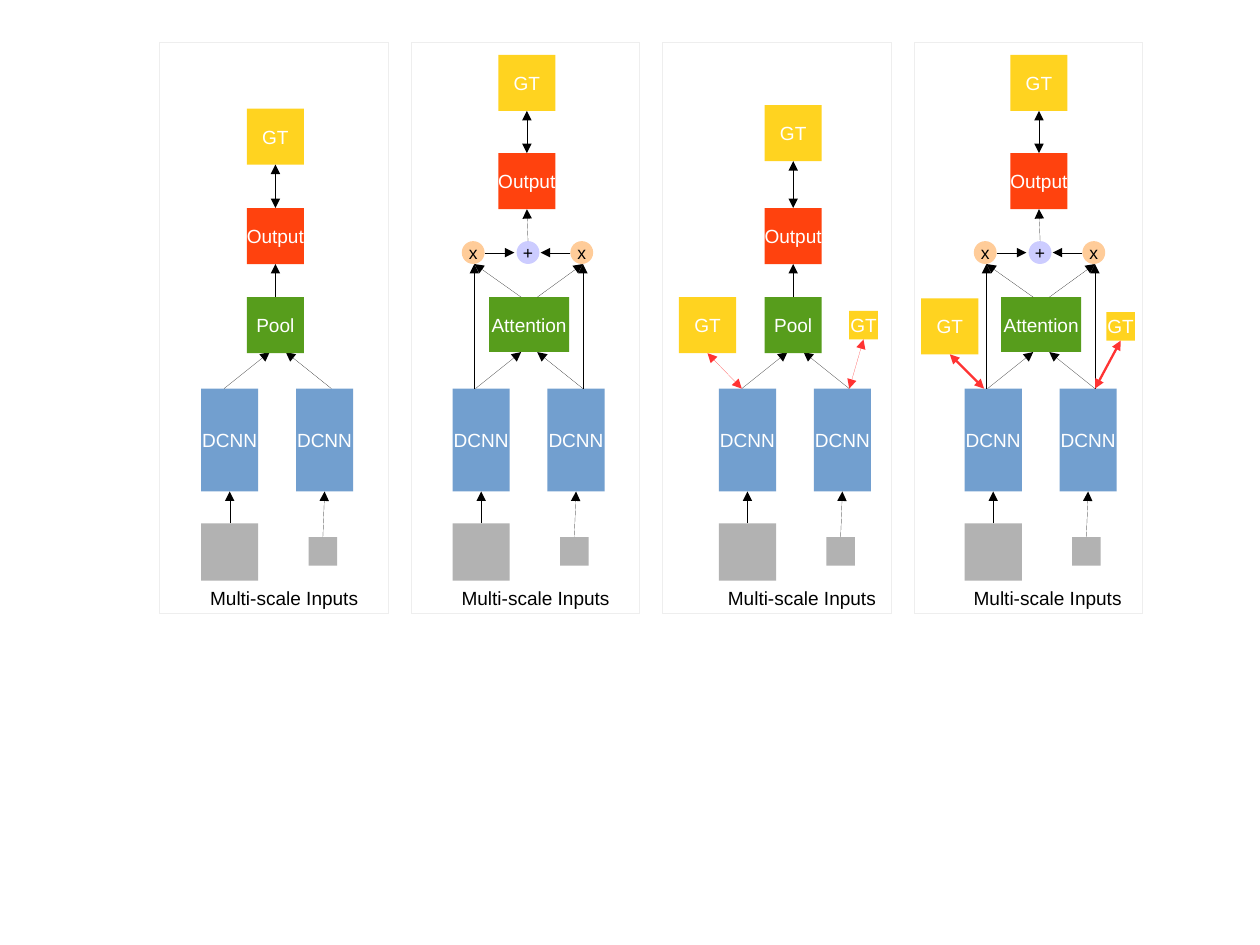
from lxml.etree import SubElement
from pptx import Presentation
from pptx.dml.color import RGBColor
from pptx.enum.shapes import MSO_CONNECTOR, MSO_SHAPE
from pptx.enum.text import MSO_ANCHOR, PP_ALIGN
from pptx.oxml.ns import qn
from pptx.util import Cm, Inches, Pt

BLACK = RGBColor(0x00, 0x00, 0x00)
WHITE = RGBColor(0xFF, 0xFF, 0xFF)
GRAY = RGBColor(0xB2, 0xB2, 0xB2)
BLUE = RGBColor(0x72, 0x9F, 0xCF)
GREEN = RGBColor(0x57, 0x9D, 0x1C)
ORANGE = RGBColor(0xFF, 0x42, 0x0E)
YELLOW = RGBColor(0xFF, 0xD3, 0x20)
PEACH = RGBColor(0xFF, 0xCC, 0x99)
LILAC = RGBColor(0xCC, 0xCC, 0xFF)
RED = RGBColor(0xFF, 0x33, 0x33)
FRAME = RGBColor(0xEE, 0xEE, 0xEE)

HAIRLINE = 0.01
FRAME_LEFT, FRAME_TOP, FRAME_STEP = 1.4, 0.37, 2.2
FRAME_WIDTH, FRAME_HEIGHT = 2, 5
DCNN_TOP = 3.4
MERGE_TOP = 2.6
LEFT_OUT, RIGHT_OUT = 0.2, 1.14


def style_text(tf, text, size, color, align):
    tf.word_wrap = False
    p = tf.paragraphs[0]
    p.text = text
    p.alignment = align
    font = p.runs[0].font
    font.name = "Arial"
    font.size = Pt(size)
    font.color.rgb = color


def block(s, x, y, w, h, fill, text="", kind=MSO_SHAPE.RECTANGLE, size=12, color=WHITE):
    sp = s.shapes.add_shape(kind, Inches(x), Inches(y), Inches(w), Inches(h))
    sp.shadow.inherit = False
    sp.fill.solid()
    sp.fill.fore_color.rgb = fill
    sp.line.fill.background()
    if text:
        sp.text_frame.vertical_anchor = MSO_ANCHOR.MIDDLE
        style_text(sp.text_frame, text, size, color, PP_ALIGN.CENTER)
    return sp


def operator(s, x, text, fill):
    return block(s, x, 2.11, 0.2, 0.2, fill, text, MSO_SHAPE.OVAL, 11, BLACK)


def arrow(s, start, end, color=BLACK, weight=HAIRLINE, both=False):
    """Each end is an (x, y) point or a shape, left at its top and entered at its bottom."""
    x1, y1 = start if isinstance(start, tuple) else (0, 0)
    x2, y2 = end if isinstance(end, tuple) else (0, 0)
    line = s.shapes.add_connector(
        MSO_CONNECTOR.STRAIGHT, Inches(x1), Inches(y1), Inches(x2), Inches(y2))
    if not isinstance(start, tuple):
        line.begin_connect(start, 0)
    if not isinstance(end, tuple):
        line.end_connect(end, 2)
    line.line.color.rgb = color
    line.line.width = Pt(weight)
    spPr = line.element.spPr
    ln = spPr.find(qn("a:ln"))
    for tag in ("a:headEnd", "a:tailEnd") if both else ("a:tailEnd",):
        SubElement(ln, qn(tag), type="triangle")
    SubElement(spPr, qn("a:effectLst"))


def frame(s, x):
    sp = s.shapes.add_shape(MSO_SHAPE.RECTANGLE, Inches(x), Inches(FRAME_TOP),
                            Inches(FRAME_WIDTH), Inches(FRAME_HEIGHT))
    sp.shadow.inherit = False
    sp.fill.background()
    sp.line.color.rgb = FRAME
    sp.line.width = Pt(HAIRLINE)


def inputs(s, x):
    """Two input scales, each feeding a DCNN, with their caption."""
    for dx, y, size, dcnn_dx in ((0, 4.58, 0.5, 0), (0.94, 4.7, 0.25, 0.83)):
        image = block(s, x + dx, y, size, size, GRAY)
        dcnn = block(s, x + dcnn_dx, DCNN_TOP, 0.5, 0.9, BLUE, "DCNN")
        arrow(s, image, dcnn)
    caption = s.shapes.add_textbox(Inches(x - 0.02), Inches(5.08), Inches(1.5), Inches(0.29))
    style_text(caption.text_frame, "Multi-scale Inputs", 12, BLACK, PP_ALIGN.LEFT)
    for out, target in ((LEFT_OUT, 0.6), (RIGHT_OUT, 0.74)):
        arrow(s, (x + out, DCNN_TOP), (x + target, 3.08))


def result(s, x, output_top, gt_top):
    """Output block compared with the ground truth above it."""
    output = block(s, x, output_top, 0.5, 0.49, ORANGE, "Output")
    gt = block(s, x, gt_top, 0.5, 0.49, YELLOW, "GT")
    arrow(s, output, gt, both=True)
    return output


def pooling(s, x, gt_top):
    inputs(s, x)
    pool = block(s, x + 0.4, MERGE_TOP, 0.5, 0.49, GREEN, "Pool")
    arrow(s, pool, result(s, x + 0.4, 1.82, gt_top))


def attention(s, x):
    inputs(s, x)
    block(s, x + 0.32, MERGE_TOP, 0.7, 0.48, GREEN, "Attention")
    for dx, out, leave in ((0.08, 0.19, 0.6), (1.03, RIGHT_OUT, 0.74)):
        operator(s, x + dx, "x", PEACH)
        arrow(s, (x + leave, MERGE_TOP), (x + out, 2.31))
        arrow(s, (x + out, DCNN_TOP), (x + out, 2.31))
    plus = operator(s, x + 0.56, "+", LILAC)
    arrow(s, (x + 0.28, 2.21), (x + 0.54, 2.21))
    arrow(s, (x + 1.03, 2.21), (x + 0.77, 2.21))
    arrow(s, plus, result(s, x + 0.4, 1.34, 0.48))


def supervision(s, x, left_out, left_gt, right_gt, weight):
    """Extra ground truth for each scale; left_gt and right_gt are positions."""
    for out, (dx, y), w, h in ((left_out, left_gt, 0.5, 0.49),
                               (RIGHT_OUT, right_gt, 0.25, 0.25)):
        gt = block(s, x + dx, y, w, h, YELLOW, "GT")
        arrow(s, (x + out, DCNN_TOP), gt, RED, weight, both=True)


def main():
    prs = Presentation()
    prs.slide_width, prs.slide_height = Cm(28), Cm(21)
    s = prs.slides.add_slide(prs.slide_layouts[6])
    frames = [FRAME_LEFT + i * FRAME_STEP for i in range(4)]
    for x in frames:
        frame(s, x)
    pool_x, attention_x, deep_pool_x, deep_attention_x = (
        x + dx for x, dx in zip(frames, (0.36, 0.36, 0.49, 0.44)))
    pooling(s, pool_x, 0.95)
    attention(s, attention_x)
    pooling(s, deep_pool_x, 0.92)
    supervision(s, deep_pool_x, LEFT_OUT, (-0.35, 2.6), (1.14, 2.72), HAIRLINE)
    attention(s, deep_attention_x)
    supervision(s, deep_attention_x, 0.17, (-0.38, 2.61), (1.24, 2.73), 1.45)
    prs.save("out.pptx")


if __name__ == "__main__":
    main()
